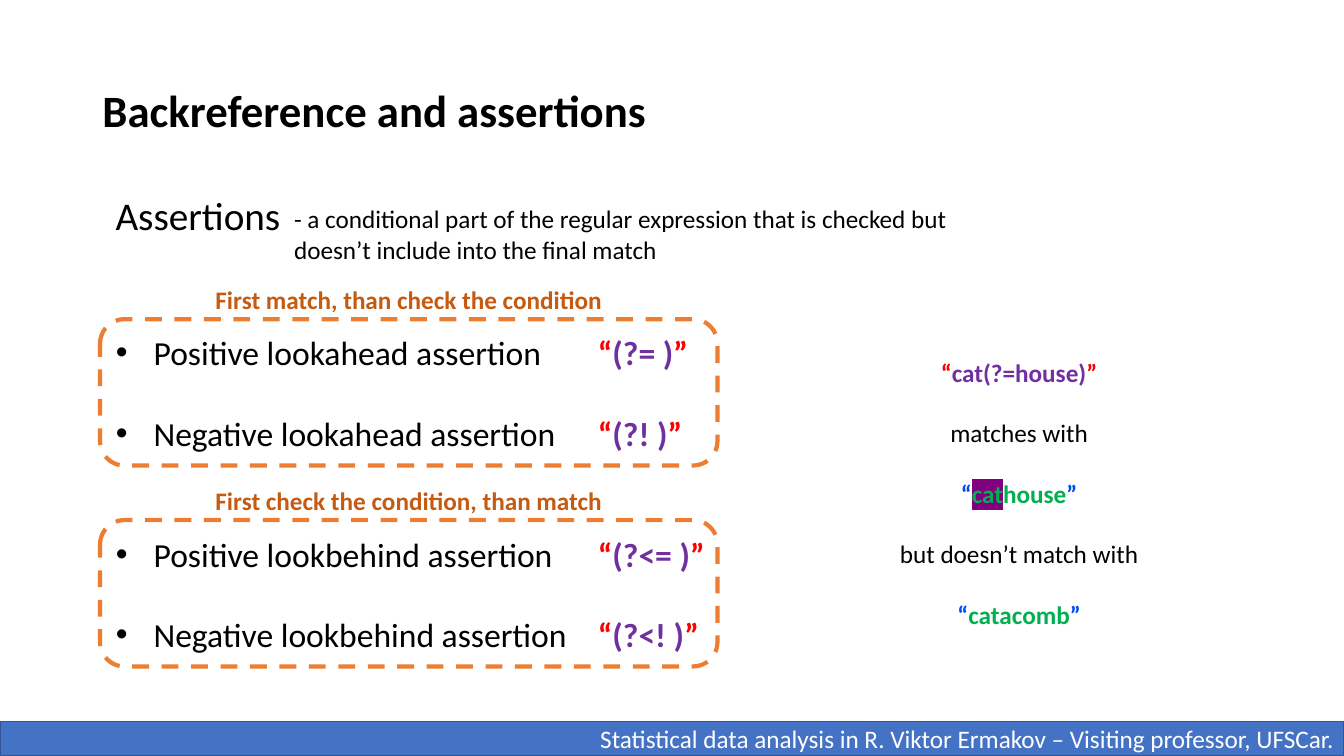
from lxml import etree
from pptx import Presentation
from pptx.dml.color import RGBColor
from pptx.enum.dml import MSO_LINE
from pptx.enum.shapes import MSO_SHAPE
from pptx.enum.text import MSO_ANCHOR, MSO_AUTO_SIZE, PP_ALIGN
from pptx.oxml.ns import qn
from pptx.util import Pt

BLACK, WHITE, RED, PURPLE = "000000", "FFFFFF", "FF0000", "7030A0"
BLUE, GREEN, ORANGE, RUST = "014BF6", "00B050", "ED7D31", "C55A11"


def rgb(value):
    """Turn a hex string into a colour."""
    return RGBColor.from_string(value)


def quoted(quote_color, *parts):
    """Return bold runs: the parts between coloured quotation marks."""
    return [("“", quote_color, True), *parts, ("”", quote_color, True)]


class SlideBuilder:
    """Holds the style and the current slide."""

    font = "Calibri"

    def __init__(self, slide):
        """Keep the slide to draw on."""
        self.slide = slide

    def place(self, shape, box):
        """Move and size a shape to (left, top, width, height)."""
        shape.left, shape.top, shape.width, shape.height = map(Pt, box)

    def add_run(self, paragraph, size, text, color=BLACK, bold=False, highlight=None):
        """Append one formatted run."""
        run = paragraph.add_run()
        run.text = text
        font = run.font
        font.name, font.size, font.bold = self.font, Pt(size), bold
        font.color.rgb = rgb(color)
        if highlight:
            mark = etree.Element(qn("a:highlight"))
            etree.SubElement(mark, qn("a:srgbClr"), val=highlight)
            run._r.rPr.find(qn("a:solidFill")).addnext(mark)

    def fill_text(self, shape, lines, size, gaps=None, align=PP_ALIGN.LEFT,
                  anchor=MSO_ANCHOR.TOP):
        """Fill a shape with lines of runs; gaps is the space before each line."""
        frame = shape.text_frame
        frame.word_wrap, frame.auto_size = True, MSO_AUTO_SIZE.NONE
        frame.vertical_anchor = anchor
        for i, runs in enumerate(lines):
            paragraph = frame.paragraphs[0] if i == 0 else frame.add_paragraph()
            paragraph.alignment = align
            paragraph.space_before = Pt(gaps[i] if gaps else 0)
            for run in runs:
                self.add_run(paragraph, size, *run)
        return frame

    def title(self, text, box):
        """Fill the title placeholder."""
        shape = self.slide.shapes.title
        self.place(shape, box)
        frame = self.fill_text(shape, [[(text, BLACK, True)]], 32,
                               anchor=MSO_ANCHOR.MIDDLE)
        frame.paragraphs[0].line_spacing = 0.9

    def bullets(self, items, box, size, gaps):
        """Fill the body placeholder with a bulleted list."""
        shape = self.slide.placeholders[1]
        self.place(shape, box)
        frame = self.fill_text(shape, [[(item,)] for item in items], size, gaps)
        for paragraph in frame.paragraphs:
            properties = paragraph._p.get_or_add_pPr()
            properties.set("marL", str(Pt(27)))
            properties.set("indent", str(Pt(-27)))
            etree.SubElement(properties, qn("a:buFont"), typeface="Arial")
            etree.SubElement(properties, qn("a:buChar"), char="•")

    def text(self, lines, box, size, **layout):
        """Add a text box."""
        shape = self.slide.shapes.add_textbox(*map(Pt, box))
        self.fill_text(shape, lines, size, **layout)

    def shape(self, kind, box, line, width, fill=None):
        """Add a preset shape without shadow."""
        shape = self.slide.shapes.add_shape(kind, *map(Pt, box))
        shape.shadow.inherit = False
        shape.line.color.rgb, shape.line.width = rgb(line), Pt(width)
        if fill:
            shape.fill.solid()
            shape.fill.fore_color.rgb = rgb(fill)
        else:
            shape.fill.background()
        return shape

    def labelled_frame(self, label, box):
        """Add a dashed rounded frame with a centred label above it."""
        left, top, width, _ = box
        frame = self.shape(MSO_SHAPE.ROUNDED_RECTANGLE, box, ORANGE, 3)
        frame.line.dash_style = MSO_LINE.DASH
        self.text([[(label, RUST, True)]], (left, top - 28.5, width, 29), 18,
                  align=PP_ALIGN.CENTER)

    def footer(self, text, box):
        """Add the footer bar with right-aligned text."""
        bar = self.shape(MSO_SHAPE.RECTANGLE, box, "325491", 1, "4472C4")
        self.fill_text(bar, [[(text, WHITE)]], 18, align=PP_ALIGN.RIGHT,
                       anchor=MSO_ANCHOR.MIDDLE)


def main():
    """Build and save the slide."""
    deck = Presentation()
    deck.slide_width, deck.slide_height = Pt(960), Pt(540)
    page = SlideBuilder(deck.slides.add_slide(deck.slide_layouts[1]))

    page.title("Backreference and assertions", (66, 29, 828, 104))
    page.footer("Statistical data analysis in R. Viktor Ermakov – Visiting professor, UFSCar.",
                (0, 515.5, 960, 24.5))
    page.text([[("Assertions",)]], (75.5, 133, 140, 41), 28)
    page.text([[("- a conditional part of the regular expression that is checked but "
                 "doesn’t include into the final match",)]], (203, 142, 525, 51), 18)

    names = [f"{sign} {direction} assertion" for direction in ("lookahead", "lookbehind")
             for sign in ("Positive", "Negative")]
    patterns = ["(?= )", "(?! )", "(?<= )", "(?<! )"]
    row_gaps = [0, 28.8, 57.6, 28.8]
    page.bullets(names, (75.5, 233.5, 342, 240), 24, row_gaps)
    page.text([quoted(RED, (pattern, PURPLE, True)) for pattern in patterns],
              (420, 233.5, 94, 240), 24, gaps=row_gaps)

    labels = ["First match, than check the condition",
              "First check the condition, than match"]
    for i, label in enumerate(labels):
        page.labelled_frame(label, (71.5, 228 + 143.5 * i, 441, 104.5))

    example = [
        quoted(RED, ("cat(?=house)", PURPLE, True)),
        [("matches with",)],
        quoted(BLUE, ("cat", GREEN, True, "800080"), ("house", GREEN, True)),
        [("but doesn’t match with",)],
        quoted(BLUE, ("catacomb", GREEN, True)),
    ]
    page.text(example, (635, 251.5, 186, 204), 18, gaps=[0] + [21.6] * 4,
              align=PP_ALIGN.CENTER)

    deck.save("out.pptx")


main()
